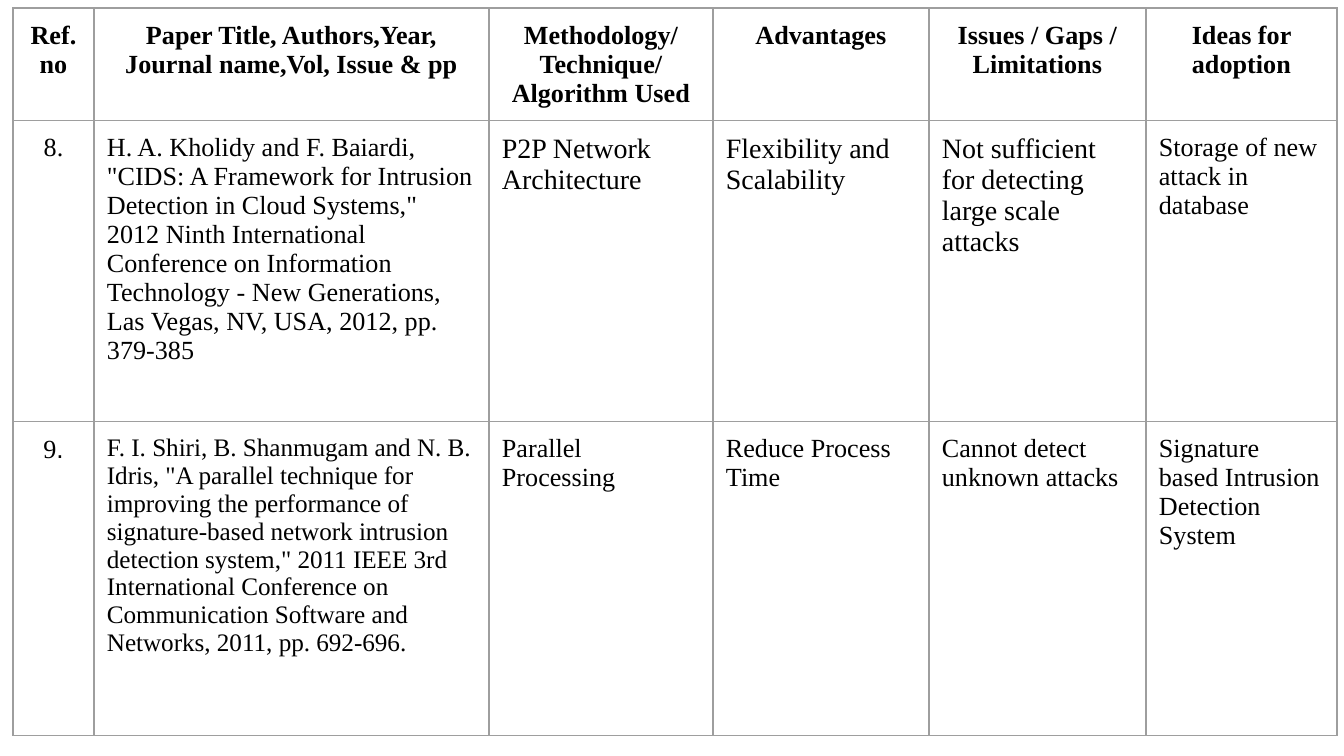
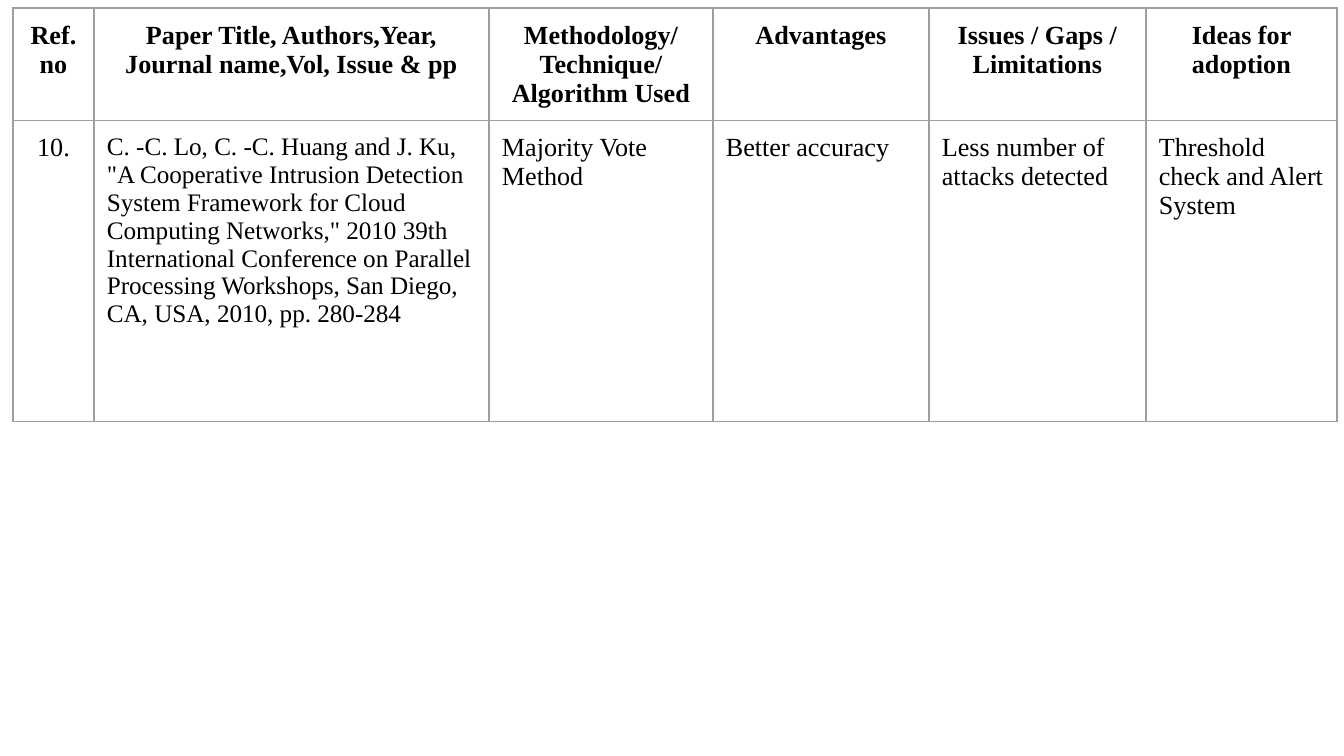
"""Build two literature survey slides, each holding one bordered table."""
from lxml import etree
from pptx import Presentation
from pptx import util as u
from pptx.dml.color import RGBColor
from pptx.enum import text
from pptx.oxml.ns import qn

PX = 914400 / 134.4
INK, GRID = "000000", "9E9E9E"
FONT = "Times New Roman"
LEFT, TOP, PAD = 13, 8, 13
COLS = [81, 395, 224, 216, 217, 191]
HEAD_H = 109
HEAD = ["Ref.\nno", "Paper Title, Authors,Year, Journal name,Vol, Issue & pp",
        "Methodology/ Technique/ Algorithm Used", "Advantages",
        "Issues / Gaps / Limitations", "Ideas for adoption"]
HEAD_SIZES = [14] * 6
SLIDES = [
    [
        (301, [14, 14, 15, 15, 15, 14], [
            "8.",
            'H. A. Kholidy and F. Baiardi, "CIDS: A Framework for Intrusion Detection '
            'in Cloud Systems," 2012 Ninth International Conference on Information '
            "Technology - New Generations, Las Vegas, NV, USA, 2012, pp. 379-385",
            "P2P Network Architecture", "Flexibility and Scalability",
            "Not sufficient for detecting large scale attacks",
            "Storage of new attack in database"]),
        (314, [14, 13.5, 14, 14, 14, 14], [
            "9.",
            'F. I. Shiri, B. Shanmugam and N. B. Idris, "A parallel technique for '
            "improving the performance of signature-based network intrusion detection "
            'system," 2011 IEEE 3rd International Conference on Communication Software '
            "and Networks, 2011, pp. 692-696.",
            "Parallel Processing", "Reduce Process Time",
            "Cannot detect unknown attacks",
            "Signature based Intrusion Detection System"]),
    ],
    [
        (301, [14, 13.5, 14, 14, 14, 14], [
            "10.",
            'C. -C. Lo, C. -C. Huang and J. Ku, "A Cooperative Intrusion Detection '
            'System Framework for Cloud Computing Networks," 2010 39th International '
            "Conference on Parallel Processing Workshops, San Diego, CA, USA, 2010, "
            "pp. 280-284",
            "Majority Vote Method", "Better accuracy",
            "Less number of attacks detected",
            "Threshold check and Alert System"]),
    ],
]


def px(n):
    return u.Emu(round(n * PX))


def color(value):
    return RGBColor.from_string(value)


prs = Presentation()
prs.slide_width, prs.slide_height = px(1344), px(756)

for entries in SLIDES:
    s = prs.slides.add_slide(prs.slide_layouts[6])
    rows = [(HEAD_H, HEAD_SIZES, HEAD)] + entries
    height = sum(row[0] for row in rows)
    table = s.shapes.add_table(len(rows), len(COLS), px(LEFT), px(TOP),
                               px(sum(COLS)), px(height)).table
    table.first_row = table.horz_banding = False
    for column, width in zip(table.columns, COLS):
        column.width = px(width)

    for i, (row_h, sizes, words) in enumerate(rows):
        table.rows[i].height = px(row_h)
        for j, (size, word) in enumerate(zip(sizes, words)):
            cell = table.cell(i, j)
            for side in ("left", "right", "top", "bottom"):
                setattr(cell, f"margin_{side}", px(PAD))
            tcPr = cell._tc.get_or_add_tcPr()
            for edge in ("a:lnL", "a:lnR", "a:lnT", "a:lnB"):
                ln = etree.SubElement(tcPr, qn(edge), w=str(u.Pt(0.75)))
                fill = etree.SubElement(ln, qn("a:solidFill"))
                etree.SubElement(fill, qn("a:srgbClr"), val=GRID)
            cell.fill.background()

            tf = cell.text_frame
            tf.text = word
            centred = i == 0 or j == 0
            for p in tf.paragraphs:
                p.alignment = text.PP_ALIGN.CENTER if centred else text.PP_ALIGN.LEFT
                if word == "9.":
                    p.runs[0].text = "9"
                    p.add_run().text = "."
                for r in p.runs:
                    name = "Arial" if r.text == "." else FONT
                    style = {"size": u.Pt(size), "name": name, "bold": i == 0}
                    for key, value in style.items():
                        setattr(r.font, key, value)
                    r.font.color.rgb = color(INK)

prs.save("out.pptx")
